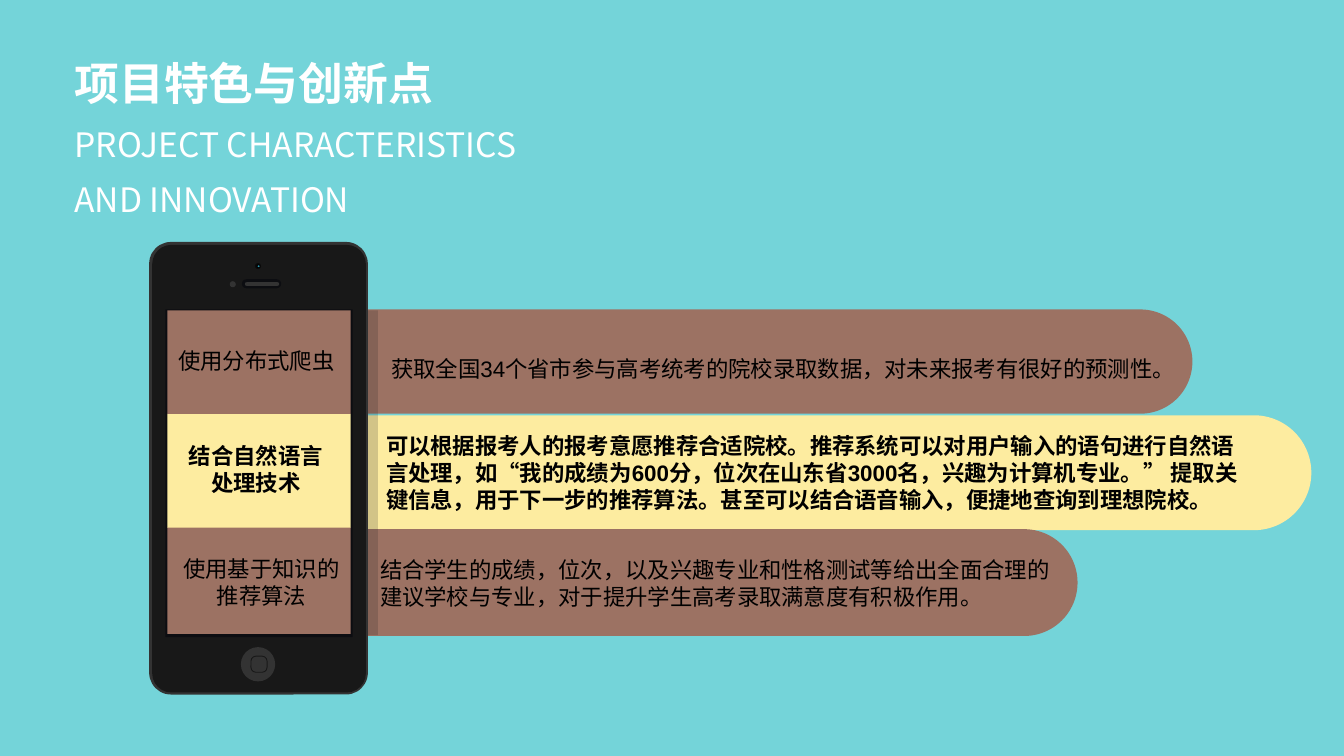
from pptx import Presentation
from pptx import util as u
from pptx.dml import color
from pptx.enum import shapes, text
from pptx.oxml import ns, xmlchemy

Pt = u.Pt
KIND = shapes.MSO_SHAPE
ALIGN = text.PP_ALIGN
HUE = {
    "back": "74D4D9", "brown": "9C7263", "cream": "FDECA0",
    "edge": "333333", "case": "181818", "slot": "0C0D11", "shade": "262626",
    "ring": "0A0A0A", "lens": "2C99B4", "black": "000000", "white": "FFFFFF",
}
SANS = "Noto Sans CJK SC"


def rgb(name):
    return color.RGBColor.from_string(HUE[name])


def put(obj, form):
    for key, val in form.items():
        setattr(obj, key, val)


def node(up, tag, **attrs):
    kid = xmlchemy.OxmlElement(tag)
    for key, val in attrs.items():
        kid.set(key, val)
    up.append(kid)
    return kid


def add_form(slide, kind, box, fill=None, line=None, round_by=None, alpha=None):
    """Draw a flat preset shape; round_by is the corner share of the short side."""
    form = slide.shapes.add_shape(kind, *map(Pt, box))
    form.shadow.inherit = False
    if round_by is not None:
        form.adjustments[0] = round_by
    if fill:
        form.fill.solid()
        form.fill.fore_color.rgb = rgb(fill)
    else:
        form.fill.background()
    if line:
        form.line.color.rgb = rgb(line)
        form.line.width = Pt(0.63)
    else:
        form.line.fill.background()
    if alpha is not None:
        tint = form.fill._xPr.find(".//" + ns.qn("a:srgbClr"))
        node(tint, "a:alpha", val=str(alpha * 1000))


def add_text(slide, box, lines, frame=None):
    """Each line is (words, font format, paragraph format)."""
    body = slide.shapes.add_textbox(*map(Pt, box)).text_frame
    put(body, {"word_wrap": True, **(frame or {})})
    for i, (words, font, para) in enumerate(lines):
        par = body.add_paragraph() if i else body.paragraphs[0]
        put(par, para)
        run = par.add_run()
        run.text = words
        form = {"size": Pt(16), "name": "Arial", "bold": False, **font}
        hue = form.pop("hue", "black")
        put(run.font, form)
        run.font.color.rgb = rgb(hue)
        if form["name"] == SANS:
            node(run.font._element, "a:ea", typeface=SANS)


def add_bar(slide, box, hue, area, words, bold=False, gap=1.0):
    add_form(slide, KIND.ROUNDED_RECTANGLE, box, hue, round_by=0.5)
    flat = {"margin_" + side: 0 for side in ("left", "top", "right", "bottom")}
    flat["vertical_anchor"] = text.MSO_ANCHOR.MIDDLE
    para = {"space_before": Pt(7.5), "line_spacing": gap}
    add_text(slide, area, [(words, {"bold": bold}, para)], flat)


def add_phone(slide):
    # Case, home key and ear slot
    for box, fill, line, bend in (
        ((106.56, 172.8, 156.24, 323.28), "edge", None, 0.1),
        ((108.72, 174.96, 152.64, 319.68), "case", None, 0.09),
        ((172.8, 199.44, 28.08, 6.48), "slot", None, 0.5),
        ((174.96, 201.6, 24.48, 2.6), "edge", None, 0.5),
    ):
        add_form(slide, KIND.ROUNDED_RECTANGLE, box, fill, line, bend)
    # Round parts: camera, sensor and key
    for x, y, size, fill in (
        (182.16, 187.92, 4.32, "ring"), (183.24, 188.8, 2.6, "black"),
        (184.1, 189.5, 1.3, "lens"), (164.16, 200.88, 4.32, "edge"),
        (172.08, 462.24, 24.48, "edge"),
    ):
        add_form(slide, KIND.OVAL, (x, y, size, size), fill)
    add_form(slide, KIND.ROUNDED_RECTANGLE, (179.28, 468.72, 11.52, 11.52),
             line="case", round_by=0.31)
    # Screen in three bands
    add_form(slide, KIND.RECTANGLE, (118.08, 221.04, 133.92, 234), "slot")
    for top, high, hue in ((376.56, 76.32, "brown"), (295.6, 81.4, "cream"),
                           (221.76, 73.9, "brown")):
        add_form(slide, KIND.RECTANGLE, (119.52, top, 131.04, high), hue)
    add_form(slide, KIND.RECTANGLE, (262.8, 221.76, 7.2, 231.84), "shade", alpha=20)


def main():
    deck = Presentation()
    put(deck, {"slide_width": Pt(960), "slide_height": Pt(540)})
    slide = deck.slides.add_slide(deck.slide_layouts[6])
    slide.background.fill.solid()
    slide.background.fill.fore_color.rgb = rgb("back")

    # Bars with details
    add_bar(slide, (174.96, 221.04, 676.8, 74.5), "brown",
            (279.36, 242.64, 555.84, 31.68),
            "获取全国34个省市参与高考统考的院校录取数据，对未来报考有很好的预测性。", gap=1.5)
    add_bar(slide, (221.76, 296.64, 714.96, 82.08), "cream",
            (275.76, 309.6, 613.44, 55.44),
            "可以根据报考人的报考意愿推荐合适院校。推荐系统可以对用户输入的语句进行自然语言处理，"
            "如“我的成绩为600分，位次在山东省3000名，兴趣为计算机专业。” 提取关键信息，"
            "用于下一步的推荐算法。甚至可以结合语音输入，便捷地查询到理想院校。", bold=True)
    add_bar(slide, (199.44, 378, 570.24, 76.32), "brown",
            (271.44, 395.28, 483.84, 41.76),
            "结合学生的成绩，位次，以及兴趣专业和性格测试等给出全面合理的"
            "建议学校与专业，对于提升学生高考录取满意度有积极作用。")

    add_phone(slide)

    # Title
    head = {"name": SANS, "size": Pt(32), "bold": True, "hue": "white"}
    sub = {**head, "size": Pt(24), "bold": False}
    loose = {"line_spacing": 1.2, "space_before": Pt(4.8)}
    add_text(slide, (46.08, 36, 353.52, 124.56), [
        ("项目特色与创新点", head, {"space_before": Pt(6.4)}),
        ("PROJECT CHARACTERISTICS", sub, loose),
        ("AND INNOVATION", sub, loose),
    ], {"vertical_anchor": text.MSO_ANCHOR.MIDDLE})

    # Screen labels
    mid = {"alignment": ALIGN.CENTER}
    for box, lines, bold, para in (
        ((120.24, 244.08, 132.48, 26.64), ["使用分布式爬虫"], False, {}),
        ((116.64, 312.48, 132.48, 46.08), ["结合自然语言", "处理技术"], True, mid),
        ((123.12, 393.12, 127.44, 46.8), ["使用基于知识的推荐算法"], False, mid),
    ):
        font = {"name": SANS, "bold": bold}
        add_text(slide, box, [(words, font, para) for words in lines])

    deck.save("out.pptx")


if __name__ == "__main__":
    main()
